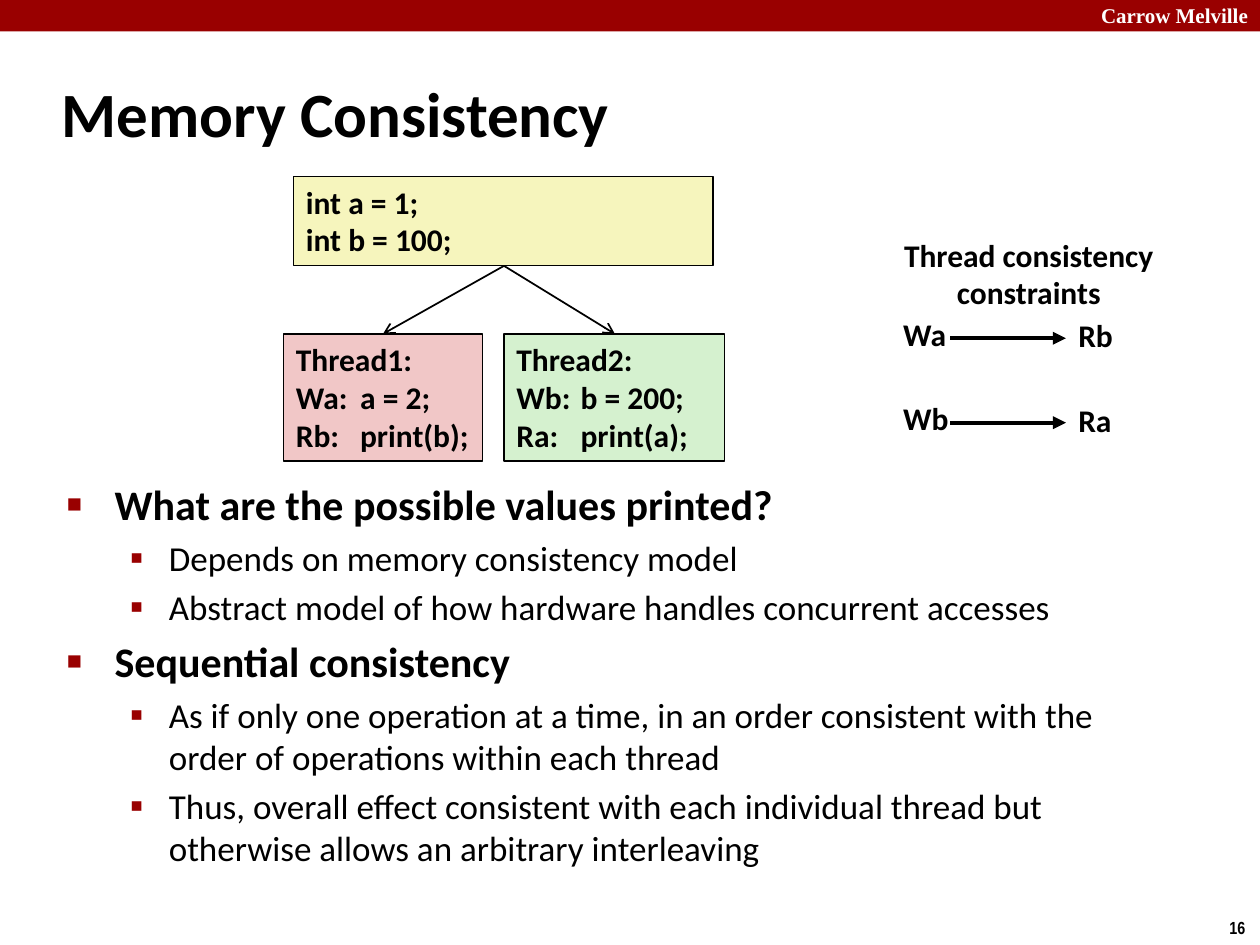
from typing import NamedTuple

from lxml import etree
from pptx import Presentation
from pptx.dml.color import RGBColor
from pptx.enum.shapes import MSO_CONNECTOR, MSO_SHAPE
from pptx.enum.text import MSO_ANCHOR, MSO_AUTO_SIZE, PP_ALIGN
from pptx.oxml.ns import qn
from pptx.util import Inches, Pt

LEFT, CENTER = PP_ALIGN.LEFT, PP_ALIGN.CENTER
TOP, MIDDLE = MSO_ANCHOR.TOP, MSO_ANCHOR.MIDDLE
FIXED = MSO_AUTO_SIZE.NONE
RECT, LINE = MSO_SHAPE.RECTANGLE, MSO_CONNECTOR.STRAIGHT

COLORS = {"red": "990000", "black": "000000", "white": "FFFFFF",
          "yellow": "F6F5BD", "pink": "F1C7C7", "green": "D5F1CF"}
CELL = 0.25  # the slide is a grid of 40 columns and 30 rows
TAB = 0.51


class Area(NamedTuple):
    col: float
    row: float
    cols: float
    rows: float


class Code(NamedTuple):
    area: Area
    fill: str
    lines: list[str]


class Arrow(NamedTuple):
    start: tuple[float, float]
    end: tuple[float, float]
    width: float
    head: str


class Level(NamedTuple):
    size: int
    bold: bool
    margin: float
    hang: float
    mark: str
    scale: int


CODES = [
    Code(Area(9.32, 5.6, 13.32, 2.84), "yellow", ["int a = 1;", "int b = 100;"]),
    Code(Area(9, 10.6, 6.32, 4.04), "pink",
         ["Thread1:", "Wa:\ta = 2;", "Rb: \tprint(b);"]),
    Code(Area(16, 10.6, 7, 4.04), "green",
         ["Thread2:", "Wb:\tb = 200;", "Ra:\tprint(a);"]),
]
FORK = (16, 8.44)
ORDERS = [("Wa", "Rb"), ("Wb", "Ra")]
LEVELS = [Level(24, True, 0.38, 0.38, "■", 60),
          Level(20, False, 0.81, 0.31, "▪", 110)]
POINTS = [
    (0, "What are the possible values printed?"),
    (1, "Depends on memory consistency model"),
    (1, "Abstract model of how hardware handles concurrent accesses"),
    (0, "Sequential consistency"),
    (1, "As if only one operation at a time, in an order consistent with the "
        "order of operations within each thread"),
    (1, "Thus, overall effect consistent with each individual thread but "
        "otherwise allows an arbitrary interleaving"),
]


def grid(*units: float) -> list[int]:
    return [Inches(unit * CELL) for unit in units]


def paint(name: str) -> RGBColor:
    return RGBColor.from_string(COLORS[name])


def style(para, size: float, bold: bool = True, face: str = "Calibri",
          color: str = "black") -> None:
    font = para.font
    font.size, font.bold, font.name = Pt(size), bold, face
    font.color.rgb = paint(color)


def place(shape, area: Area) -> None:
    shape.left, shape.top, shape.width, shape.height = grid(*area)


def label(slide, area: Area, lines: list[str], size: float = 18,
          face: str = "Calibri", color: str = "black", align=LEFT) -> None:
    frame = slide.shapes.add_textbox(*grid(*area)).text_frame
    frame.word_wrap = False
    frame.text = "\n".join(lines)
    for para in frame.paragraphs:
        para.alignment = align
        style(para, size, face=face, color=color)


def block(slide, area: Area, fill: str):
    shape = slide.shapes.add_shape(RECT, *grid(*area))
    shape.shadow.inherit = False
    shape.fill.solid()
    shape.fill.fore_color.rgb = paint(fill)
    shape.line.fill.background()
    return shape


def code(slide, item: Code) -> None:
    shape = block(slide, item.area, item.fill)
    shape.line.color.rgb, shape.line.width = paint("black"), Pt(0.75)
    frame = shape.text_frame
    frame.vertical_anchor = TOP
    frame.text = "\n".join(item.lines)
    for para in frame.paragraphs:
        para.alignment = LEFT
        tabs = etree.SubElement(para._p.get_or_add_pPr(), qn("a:tabLst"))
        etree.SubElement(tabs, qn("a:tab"), pos=str(Inches(TAB)), algn="l")
        style(para, 18)


def arrow(slide, item: Arrow) -> None:
    link = slide.shapes.add_connector(LINE, *grid(*item.start, *item.end))
    link.line.color.rgb, link.line.width = paint("black"), Pt(item.width)
    etree.SubElement(link.line._get_or_add_ln(), qn("a:tailEnd"), type=item.head)
    etree.SubElement(link._element.spPr, qn("a:effectLst"))


def bullet(para, level: Level) -> None:
    props = para._p.get_or_add_pPr()
    props.set("marL", str(Inches(level.margin)))
    props.set("indent", str(-Inches(level.hang)))
    para.space_before = Pt(level.size * 0.2)
    tint = etree.SubElement(props, qn("a:buClr"))
    etree.SubElement(tint, qn("a:srgbClr"), val=COLORS["red"])
    etree.SubElement(props, qn("a:buSzPct"), val=str(level.scale * 1000))
    etree.SubElement(props, qn("a:buFont"), typeface="Arial")
    etree.SubElement(props, qn("a:buChar"), char=level.mark)
    style(para, level.size, level.bold)


def main() -> None:
    deck = Presentation()
    deck.slide_width, deck.slide_height = grid(40, 30)
    slide = deck.slides.add_slide(deck.slide_layouts[1])
    title, body = slide.placeholders

    # Header bar and page number
    block(slide, Area(0, 0, 40, 1), "red")
    label(slide, Area(34.56, -0.12, 5.72, 1.2), ["Carrow Melville"], 12,
          "Times New Roman", "white")
    label(slide, Area(38.64, 28.92, 1.36, 1.08), ["16"], 10, "Arial Narrow")

    # Title
    place(title, Area(1.56, 1.92, 33.2, 3.32))
    title.text_frame.text = "Memory Consistency"
    title.text_frame.vertical_anchor = MIDDLE
    title.text_frame.auto_size = FIXED
    head = title.text_frame.paragraphs[0]
    head.alignment = LEFT
    style(head, 36)

    # Bullet list
    place(body, Area(1.72, 15, 34.56, 12.72))
    frame = body.text_frame
    frame.auto_size = FIXED
    frame.text = "\n".join(text for _, text in POINTS)
    for para, (depth, _) in zip(frame.paragraphs, POINTS):
        para.level = depth
        bullet(para, LEVELS[depth])

    # Shared variables forking into two threads
    for item in CODES:
        code(slide, item)
    for col in (12.16, 19.52):
        arrow(slide, Arrow(FORK, (col, 10.6), 1, "arrow"))

    # Ordering constraints
    label(slide, Area(28.28, 7.28, 8.76, 2.84),
          ["Thread consistency", "constraints"], align=CENTER)
    for index, (first, second) in enumerate(ORDERS):
        row = 9.8 + 2.68 * index
        label(slide, Area(28.28, row, 2.4, 1.6), [first])
        label(slide, Area(33.84, row + 0.04, 2.1, 1.6), [second])
        arrow(slide, Arrow((30.16, row + 0.94), (33.84, row + 0.94),
                           2.5, "triangle"))

    deck.save("out.pptx")


if __name__ == "__main__":
    main()
